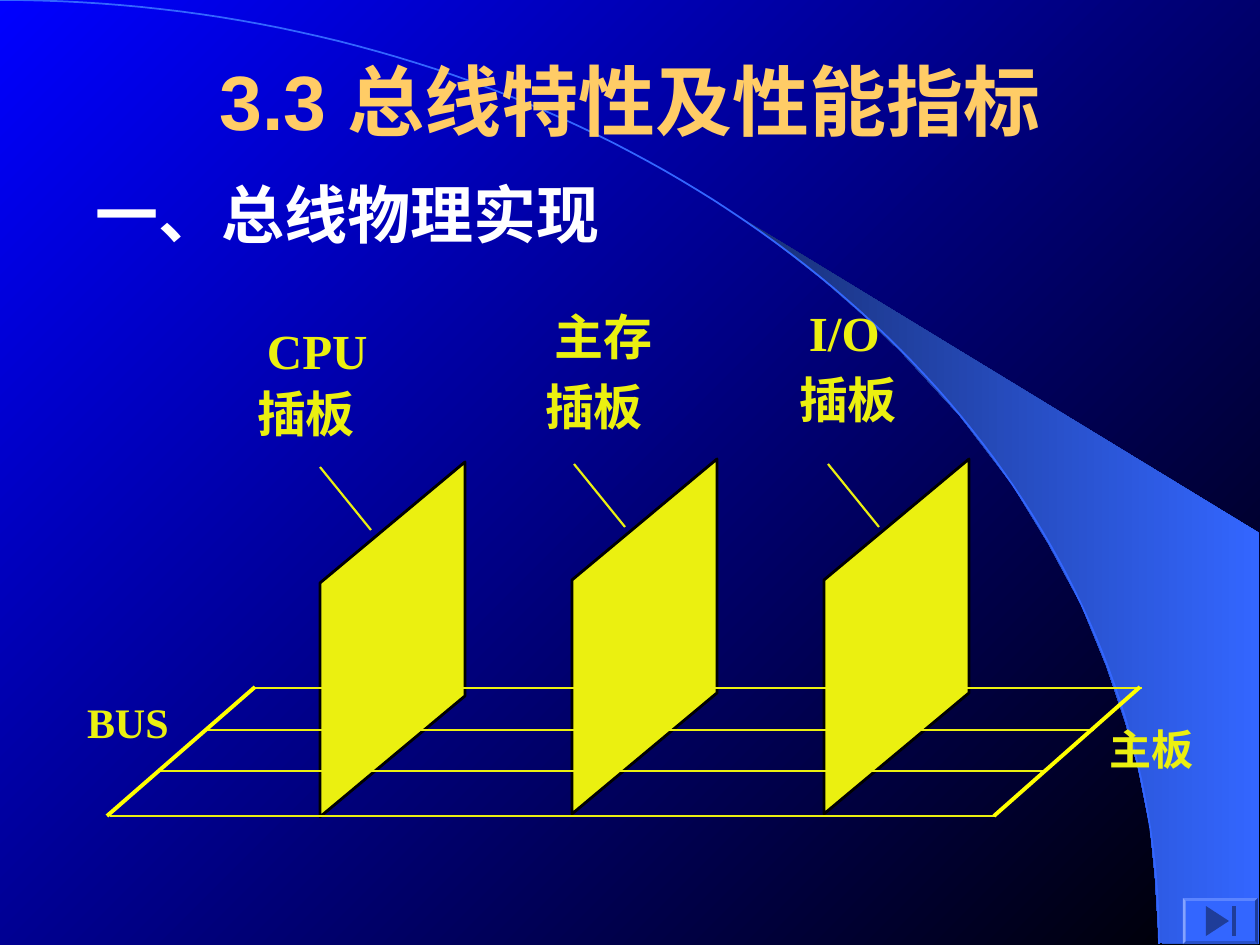
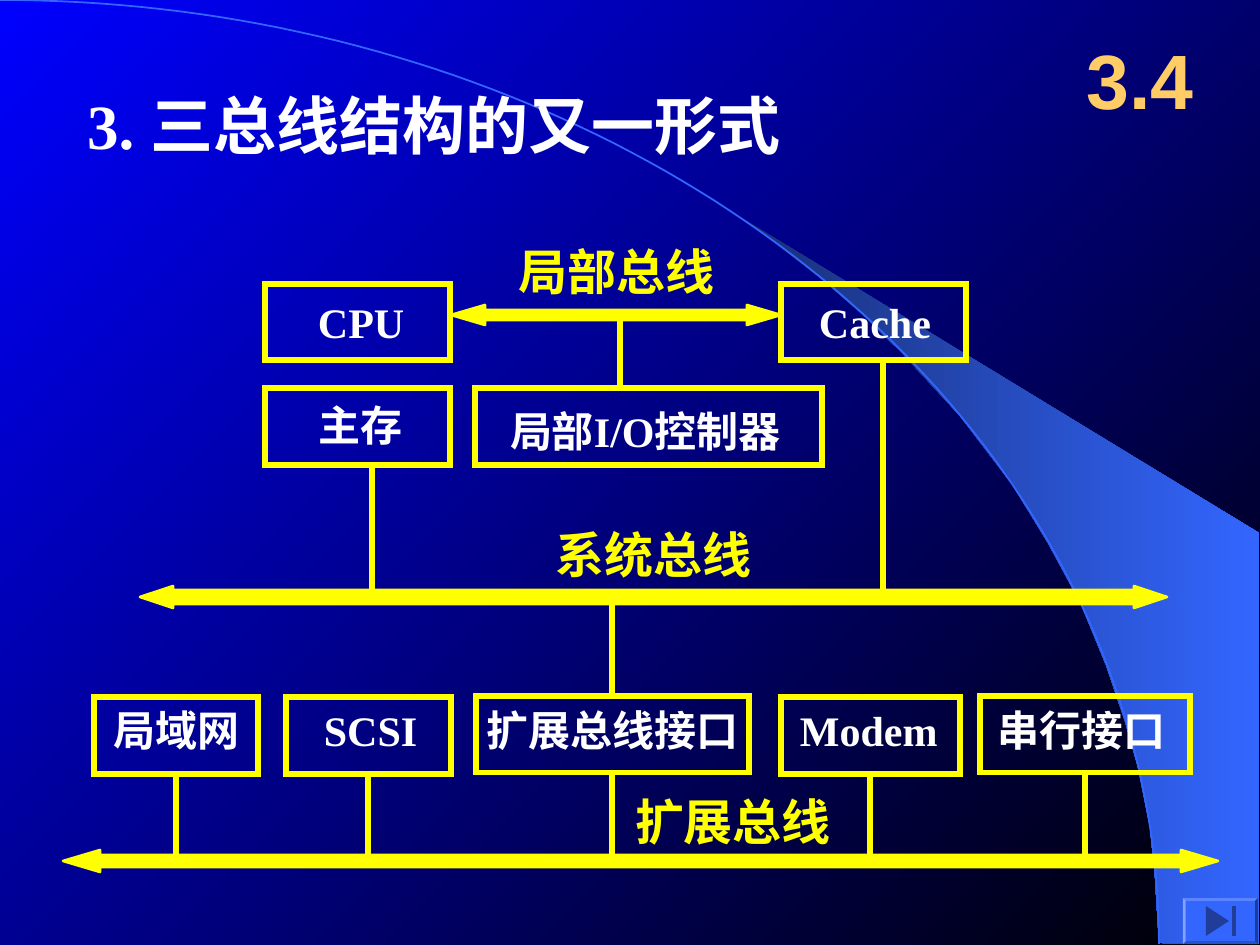
from math import cos, pi, sin

from lxml.etree import SubElement
from pptx import Presentation
from pptx.dml.color import RGBColor
from pptx.enum.shapes import MSO_CONNECTOR, MSO_SHAPE
from pptx.enum.text import MSO_ANCHOR, MSO_AUTO_SIZE, PP_ALIGN
from pptx.oxml.ns import qn
from pptx.util import Pt

PX = 914400 / 126
FINE = 10
WIDTH, HEIGHT = 1260, 945

BLUE = RGBColor(0x00, 0x00, 0xFF)
BLACK = RGBColor(0x00, 0x00, 0x00)
NAVY = RGBColor(0x18, 0x2F, 0x76)
INK = RGBColor(0x1F, 0x3D, 0x99)
SKY = RGBColor(0x33, 0x66, 0xFF)
GOLD = RGBColor(0xFF, 0xCC, 0x66)
WHITE = RGBColor(0xFF, 0xFF, 0xFF)
YELLOW = RGBColor(0xFF, 0xFF, 0x00)
LEMON = RGBColor(0xEB, 0xF0, 0x10)

SANS, SERIF, HAN = "Arial", "Times New Roman", "Noto Sans CJK SC"
NO_INSET, INSET = (0, 0), (13, 6)

BEAM = [(1159, 943), (1259, 944), (1259, 533), (742, 218), (786, 251), (823, 280),
        (863, 315), (902, 353), (960, 416), (1012, 484), (1048, 543), (1081, 604),
        (1106, 665), (1125, 721), (1138, 767), (1150, 827), (1155, 877)]
ARC_RADII = (1159, 944)
BUTTON = (1183, 898, 75, 46)
BUTTON_ARROW = [(1206, 906), (1229, 921), (1206, 936)]
BUTTON_BAR = (1232, 906, 4, 30)

HEADING = ("3.3 总线特性及性能指标", (95, 21, 1071, 158))
SUBHEADING = ("一、总线物理实现", (83, 170, 529, 88))
BOARD_LEFT, BOARD_PITCH = 320, 252
BOARD_OUTLINE = [(0, 121), (145, 0), (145, 234), (0, 355)]
BOARDS = [
    (462, 0, ("CPU", (267, 320, 101, 59)), ("插板", (257, 383, 97, 59))),
    (459, 2, ("主存", (555, 306, 98, 59)), ("插板", (545, 376, 97, 59))),
    (459, 4, ("I/O", (809, 302, 71, 59)), ("插板", (799, 369, 97, 59))),
]
MAINBOARD_EDGES = [
    ((110, 816), (995, 816), LEMON, 1.62),
    ((252, 688), (1142, 688), LEMON, 0.75),
    ((207, 730), (1094, 730), LEMON, 0.75),
    ((160, 771), (1046, 771), LEMON, 0.75),
    ((255, 687), (107, 816), YELLOW, 2.25),
    ((1140, 687), (994, 816), YELLOW, 2.25),
]
MAINBOARD_LABELS = [("BUS", (74, 691, 107, 63)), ("主板", (1097, 718, 108, 63))]

TOPIC = ("3. 三总线结构的又一形式", (74, 80, 800, 88))
SECTION = ("3.4", (1061, 21, 158, 116))
UNITS = [
    ("CPU", SERIF, (265, 284, 185, 76), (318, 297, 165, 50)),
    ("Cache", SERIF, (781, 284, 185, 76), (819, 297, 189, 50)),
    ("主存", HAN, (265, 388, 185, 77), (319, 400, 175, 50)),
    ("局部I/O控制器", SERIF, (475, 388, 347, 77), (510, 406, 422, 50)),
    ("局域网", HAN, (94, 697, 164, 77), (114, 705, 192, 50)),
    ("SCSI", SERIF, (286, 697, 165, 77), (324, 705, 149, 50)),
    ("扩展总线接口", HAN, (476, 696, 273, 77), (487, 705, 364, 50)),
    ("Modem", SERIF, (781, 697, 179, 77), (800, 705, 229, 50)),
    ("串行接口", HAN, (980, 696, 210, 77), (998, 705, 273, 50)),
]
BUSES = [
    ("局部总线", (519, 242, 195, 59), (451, 781, 315), (34, 10, 5)),
    ("系统总线", (556, 525, 195, 59), (140, 1167, 597), (33, 11, 7)),
    ("扩展总线", (635, 791, 195, 59), (63, 1218, 861), (37, 11, 6)),
]
WIRES = [
    (620, 315, 388), (372, 464, 600), (883, 357, 598), (612, 600, 697),
    (176, 774, 863), (368, 774, 862), (612, 774, 863), (870, 774, 861), (1085, 774, 863),
]


def scaled(lengths):
    return [round(length * PX) for length in lengths]


def blend(fill, start, end, angle):
    fill.gradient()
    fill.gradient_angle = angle
    for stop, color in zip(fill.gradient_stops, (start, end)):
        stop.color.rgb = color


def style(shape, fill=None, line=None, weight=1):
    shape.shadow.inherit = False
    if fill is None:
        shape.fill.background()
    else:
        shape.fill.solid()
        shape.fill.fore_color.rgb = fill
    if line is None:
        shape.line.fill.background()
    else:
        shape.line.color.rgb = line
        shape.line.width = Pt(weight)
    return shape


def outline(page, points, closed=True):
    fine = [(round(x * FINE), round(y * FINE)) for x, y in points]
    builder = page.shapes.build_freeform(*fine[0], scale=PX / FINE)
    builder.add_line_segments(fine[1:], close=closed)
    return builder.convert_to_shape()


def connect(page, start, end, color, weight):
    line = page.shapes.add_connector(MSO_CONNECTOR.STRAIGHT, *scaled(start + end))
    line.line.color.rgb = color
    line.line.width = Pt(weight)
    SubElement(line.element.spPr, qn("a:effectLst"))


def write(box, text, size, color, font=SERIF, inset=INSET, wrap=False, centred=False):
    frame = box.text_frame
    frame.auto_size = MSO_AUTO_SIZE.NONE
    frame.word_wrap = wrap
    frame.margin_left = frame.margin_right = round(inset[0] * PX)
    frame.margin_top = frame.margin_bottom = round(inset[1] * PX)
    frame.vertical_anchor = MSO_ANCHOR.MIDDLE if centred else MSO_ANCHOR.TOP
    para = frame.paragraphs[0]
    para.alignment = PP_ALIGN.CENTER if centred else PP_ALIGN.LEFT
    span = para.add_run()
    span.text = text
    span.font.size = Pt(size)
    span.font.bold = True
    span.font.color.rgb = color
    span.font.name = font
    SubElement(span.font._element, qn("a:ea")).set("typeface", HAN)


def label(page, text, place, size, color, **options):
    write(page.shapes.add_textbox(*scaled(place)), text, size, color, **options)


def draw_button(page):
    button = style(page.shapes.add_shape(MSO_SHAPE.BEVEL, *scaled(BUTTON)), SKY)
    button.adjustments[0] = 0.06
    style(outline(page, BUTTON_ARROW), INK)
    style(page.shapes.add_shape(MSO_SHAPE.RECTANGLE, *scaled(BUTTON_BAR)), INK)


def add_page(deck, title, place, size, color, **options):
    page = deck.slides.add_slide(deck.slide_layouts[5])
    blend(page.background.fill, BLUE, BLACK, 315)

    beam = style(outline(page, BEAM))
    blend(beam.fill, NAVY, SKY, 0)
    across, down = ARC_RADII
    steps = 90
    angles = [pi / 2 * step / steps for step in range(steps + 1)]
    arc = [(across * sin(angle), down * (1 - cos(angle))) for angle in angles]
    style(outline(page, arc, closed=False), line=SKY)

    heading = page.shapes.title
    heading.left, heading.top, heading.width, heading.height = scaled(place)
    write(heading, title, size, color, wrap=True, **options)
    heading.element.getparent().append(heading.element)

    draw_button(page)
    return page


def draw_boards(page):
    for index, (top, shift, *labels) in enumerate(BOARDS):
        left = BOARD_LEFT + BOARD_PITCH * index
        board = outline(page, [(left + x, top + y) for x, y in BOARD_OUTLINE])
        style(board, LEMON, BLACK, 1.62)
        for (text, place), font in zip(labels, (SERIF, HAN)):
            label(page, text, place, 28, LEMON, font=font, inset=NO_INSET)
        start = left + shift
        connect(page, (start, top + 5), (start + 51, top + 68), LEMON, 1.25)


def draw_mainboard(page):
    for edge in MAINBOARD_EDGES:
        connect(page, *edge)
    for text, place in MAINBOARD_LABELS:
        label(page, text, place, 24, LEMON)


def draw_bus(page, left, right, y, head, spread, half):
    upper = [(left + head, y - spread), (left + head, y - half),
             (right - head, y - half), (right - head, y - spread)]
    lower = [(x, 2 * y - level) for x, level in reversed(upper)]
    style(outline(page, [(left, y), *upper, (right, y), *lower]), YELLOW, YELLOW, 1.5)


def draw_unit(page, frame):
    unit = page.shapes.add_shape(MSO_SHAPE.RECTANGLE, *scaled(frame))
    style(unit, line=YELLOW, weight=3)
    border = unit.element.spPr.find(qn("a:ln"))
    SubElement(border, qn("a:miter")).set("lim", "800000")


def draw_bus_system(page):
    for x, top, bottom in WIRES:
        connect(page, (x, top), (x, bottom), YELLOW, 3)
    for text, font, frame, place in UNITS:
        draw_unit(page, frame)
        label(page, text, place, 24, WHITE, font=font, inset=NO_INSET, wrap=True)
    for text, place, span, arrow in BUSES:
        draw_bus(page, *span, *arrow)
        label(page, text, place, 28, YELLOW, font=HAN, inset=NO_INSET)


def main():
    deck = Presentation()
    deck.slide_width, deck.slide_height = scaled((WIDTH, HEIGHT))

    page = add_page(deck, *HEADING, 44, GOLD, font=SANS, centred=True)
    label(page, *SUBHEADING, 36, WHITE)
    draw_boards(page)
    draw_mainboard(page)

    page = add_page(deck, *TOPIC, 36, WHITE)
    label(page, *SECTION, 44, GOLD, font=SANS, wrap=True, centred=True)
    draw_bus_system(page)

    deck.save("out.pptx")


if __name__ == "__main__":
    main()
